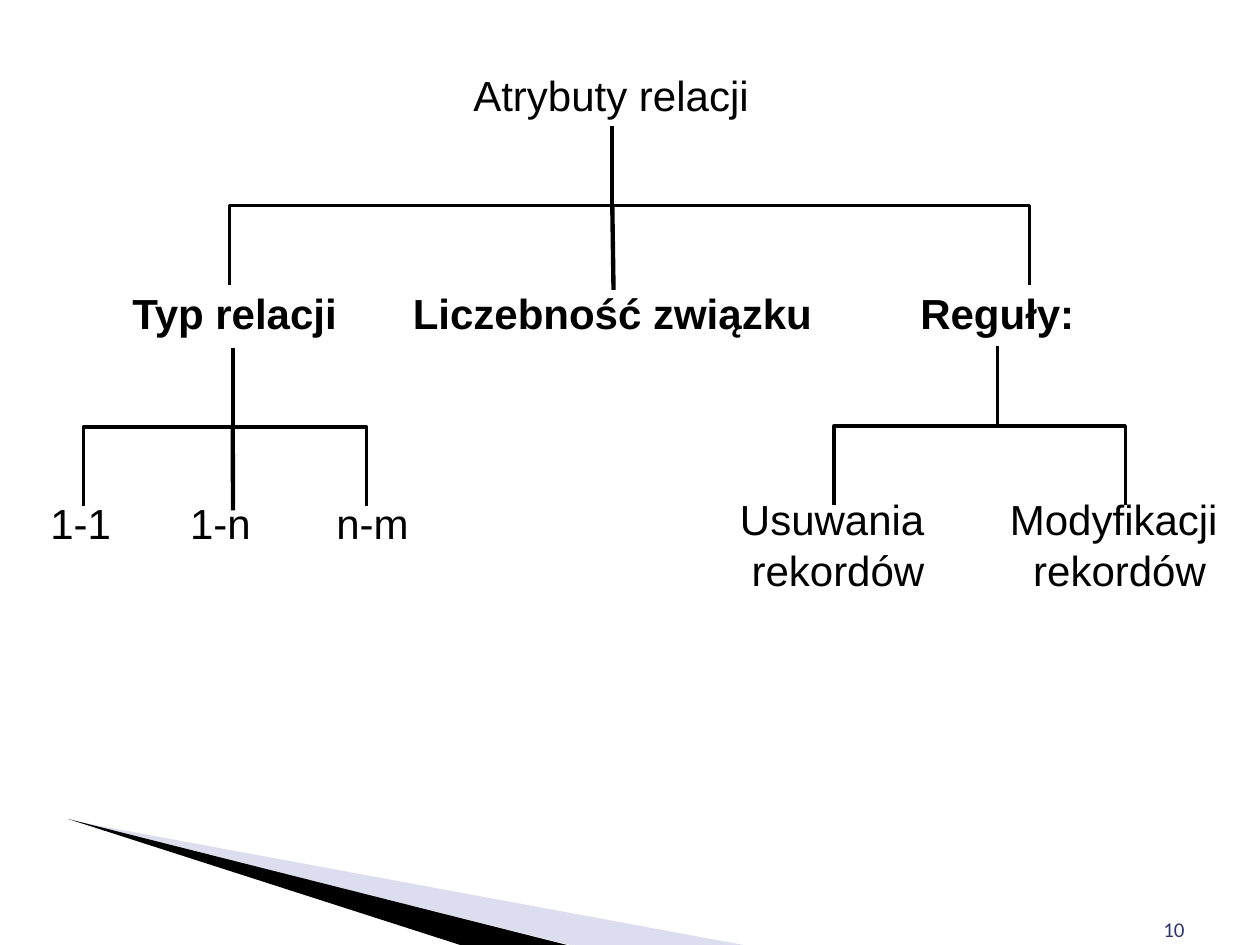
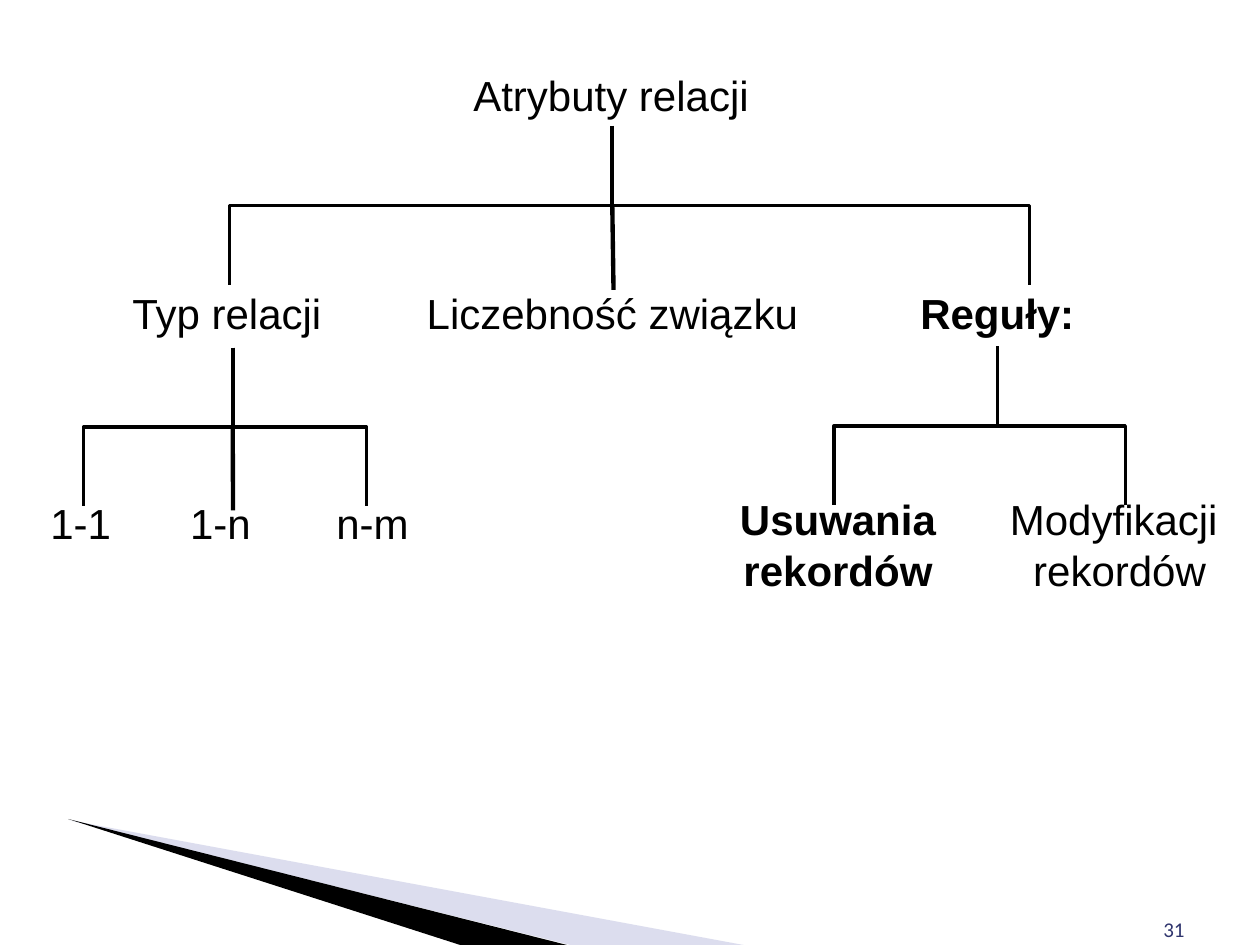
from lxml import etree
from pptx import Presentation
from pptx.dml.color import RGBColor
from pptx.enum.shapes import MSO_CONNECTOR
from pptx.enum.text import MSO_ANCHOR, MSO_AUTO_SIZE, PP_ALIGN
from pptx.oxml.ns import qn
from pptx.util import Pt

BLACK = RGBColor(0x00, 0x00, 0x00)
WHITE = RGBColor(0xFF, 0xFF, 0xFF)
LAVENDER = RGBColor(0xA8, 0xAB, 0xD5)
NAVY = RGBColor(0x30, 0x35, 0x6E)

LEFT, CENTER, RIGHT = PP_ALIGN.LEFT, PP_ALIGN.CENTER, PP_ALIGN.RIGHT
TOP, BOTTOM = MSO_ANCHOR.TOP, MSO_ANCHOR.BOTTOM
ELBOW, STRAIGHT = MSO_CONNECTOR.ELBOW, MSO_CONNECTOR.STRAIGHT
NO_AUTOFIT = MSO_AUTO_SIZE.NONE

TITLE = "Atrybuty relacji"
TITLE_BOX = (262.1, 36, 174.2, 36)
NUMBER_BOX = (516.2, 504, 167.8, 37.4)

# Page number and the labels in bold on each slide
SLIDES = [
    ("10", {"Typ relacji", "Liczebność związku", "Reguły:"}),
    ("31", {"Reguły:", "Usuwania "}),
]

# Lines of text, left, top, width, height, alignment
LABELS = [
    (["Typ relacji"], 72, 160.6, 131.8, 36, LEFT),
    (["Liczebność związku"], 231.1, 160.6, 237.6, 36, CENTER),
    (["Reguły:"], 509.8, 160.6, 120.2, 36, CENTER),
    (["1-1"], 23.8, 280.8, 44.6, 36, CENTER),
    (["1-n"], 103.7, 280.8, 44.6, 36, CENTER),
    (["n-m"], 185.8, 280.8, 54, 36, CENTER),
    (["Usuwania ", "rekordów"], 416.2, 278.6, 125.3, 63.4, CENTER),
    (["Modyfikacji ", "rekordów"], 571, 278.6, 137.5, 63.4, CENTER),
]

# Parent x, parent bottom, x of the outer children
BRANCHES = [
    (349.7, 72, (588.2, 131)),
    (133.2, 198.7, (209.5, 47.7)),
    (569.9, 198, (643, 476.6)),
]
BRANCH_DROP = 90.7

# Lines down to the middle children
STEMS = [
    (349.9, 117.4, 350.6, 165.6),
    (133, 243.4, 133.2, 291.6),
]

# Fill, alpha in thousandths of a percent, corners
WEDGES = [
    (LAVENDER, 40000, [(39.6, 468.7), (425, 540), (326, 540)]),
    (BLACK, 100000, [(38.9, 468), (324, 540), (263, 540)]),
]


def write_text(shape, box, lines, alignment, anchor=TOP, inset=3.6,
               font="Arial", size=24, color=BLACK, bold=False):
    """Place a text shape and fill it with one paragraph per line."""
    shape.left, shape.top, shape.width, shape.height = map(Pt, box)
    frame = shape.text_frame
    frame.word_wrap = True
    frame.auto_size = NO_AUTOFIT
    frame.vertical_anchor = anchor
    frame.margin_left = frame.margin_right = Pt(inset)
    frame.margin_top = frame.margin_bottom = Pt(3.6)
    for index, line in enumerate(lines):
        paragraph = frame.add_paragraph() if index else frame.paragraphs[0]
        paragraph.alignment = alignment
        run = paragraph.add_run()
        run.text = line
        run.font.name = font
        run.font.size = Pt(size)
        run.font.bold = bold
        run.font.color.rgb = color


def add_line(slide, kind, ends, weight):
    connector = slide.shapes.add_connector(kind, *map(Pt, ends))
    connector.line.color.rgb = BLACK
    connector.line.width = Pt(weight)
    etree.SubElement(connector._element.spPr, qn("a:effectLst"))
    return connector


presentation = Presentation()
presentation.slide_width = Pt(720)
presentation.slide_height = Pt(540)
title_only = presentation.slide_layouts[5]
background = presentation.slide_master.background.fill
background.solid()
background.fore_color.rgb = WHITE

for number, bold_labels in SLIDES:
    slide = presentation.slides.add_slide(title_only)

    for color, alpha, corners in WEDGES:
        points = [(Pt(x), Pt(y)) for x, y in corners]
        builder = slide.shapes.build_freeform(*points[0])
        builder.add_line_segments(points[1:], close=True)
        wedge = builder.convert_to_shape()
        wedge.shadow.inherit = False
        wedge.fill.solid()
        wedge.fill.fore_color.rgb = color
        wedge.line.fill.background()
        color_element = wedge._element.spPr.find(qn("a:solidFill"))[0]
        etree.SubElement(color_element, qn("a:alpha"), val=str(alpha))

    number_shape = slide.shapes.add_textbox(0, 0, 0, 0)
    write_text(number_shape, NUMBER_BOX, [number], RIGHT, BOTTOM, 7.2,
               "Calibri", 12, NAVY)

    write_text(slide.shapes.title, TITLE_BOX, [TITLE], CENTER)

    for lines, left, top, width, height, alignment in LABELS:
        label = slide.shapes.add_textbox(0, 0, 0, 0)
        write_text(label, (left, top, width, height), lines, alignment,
                   bold=lines[0] in bold_labels)

    for parent_x, parent_bottom, child_xs in BRANCHES:
        middle_y = parent_bottom + BRANCH_DROP / 2
        for child_x in child_xs:
            # A quarter turn makes the elbow leave its parent downwards
            middle_x = (parent_x + child_x) / 2
            half_span = (child_x - parent_x) / 2
            ends = (middle_x - BRANCH_DROP / 2, middle_y + half_span,
                    middle_x + BRANCH_DROP / 2, middle_y - half_span)
            elbow = add_line(slide, ELBOW, ends, 2)
            elbow._element.spPr.find(qn("a:xfrm")).set("rot", "5400000")

    for stem in STEMS:
        add_line(slide, STRAIGHT, stem, 2.5)

presentation.save("out.pptx")
